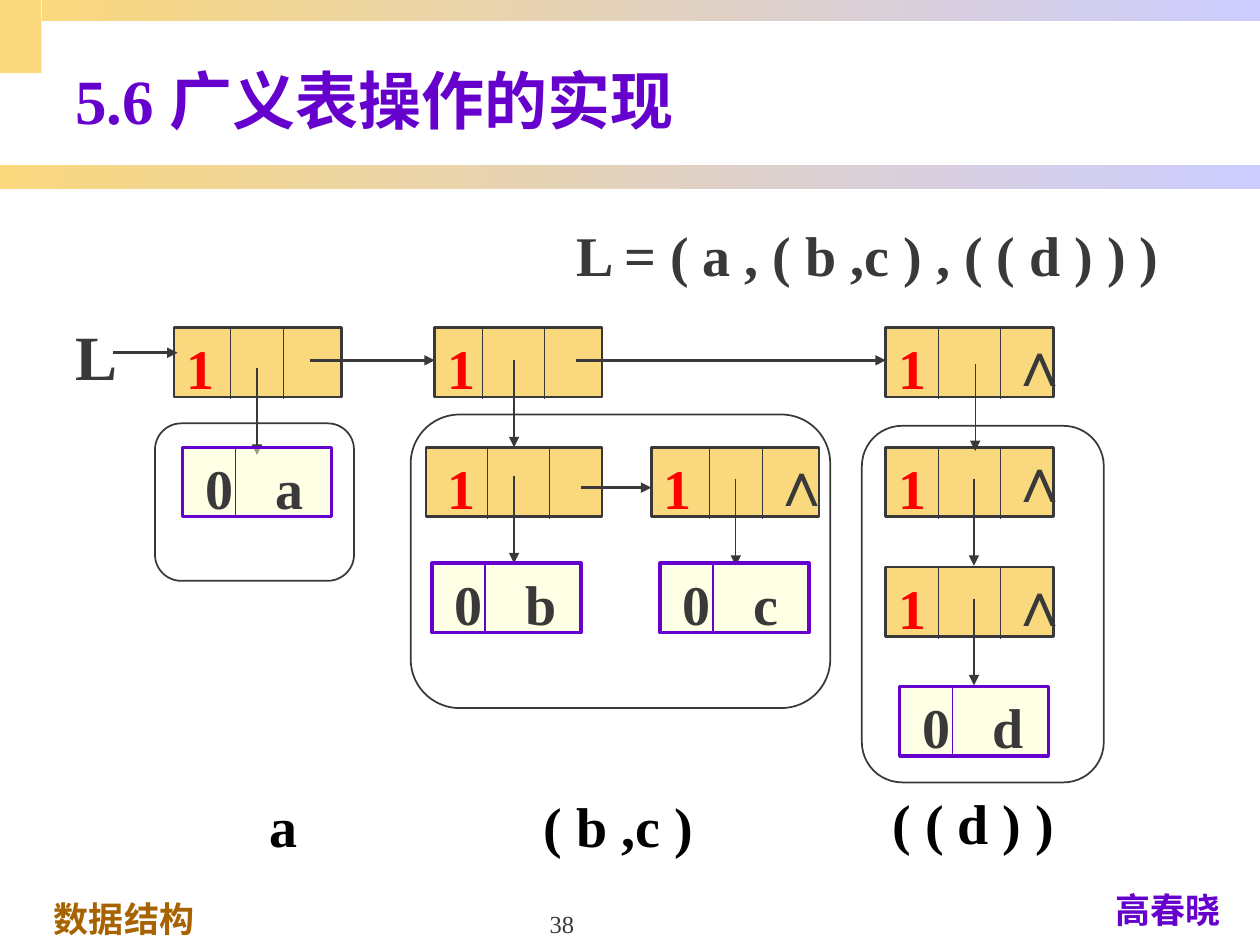
from dataclasses import dataclass
from lxml import etree
from pptx import Presentation, util as u
from pptx.dml.color import RGBColor
from pptx.enum import shapes, text
from pptx.oxml import ns

"""Draws the linked storage of a generalized list on a grid of 100 columns by 75 rows."""

HUES = {"gold": "F9D87E", "lilac": "CCCCFF", "brown": "A66300", "violet": "6600CC",
        "ink": "393939", "black": "000000", "red": "FF0000", "cream": "FFFFCC"}
FONT = "Times New Roman"
KIND = shapes.MSO_SHAPE
SIDE = {"l": text.PP_ALIGN.LEFT, "c": text.PP_ALIGN.CENTER, "r": text.PP_ALIGN.RIGHT}
ANCHOR = {"t": text.MSO_ANCHOR.TOP, "m": text.MSO_ANCHOR.MIDDLE, "b": text.MSO_ANCHOR.BOTTOM}

deck = Presentation()
deck.slide_width, deck.slide_height = u.Inches(10), u.Inches(7.5)
CELL = deck.slide_width / 100
page = deck.slides.add_slide(deck.slide_layouts[6])


@dataclass
class Box:
    x: float
    y: float
    w: float
    h: float

    def emu(self) -> list[int]:
        return [grid(n) for n in (self.x, self.y, self.w, self.h)]


@dataclass
class Label:
    box: Box
    words: str
    size: int = 32
    hue: str = "black"
    side: str = "r"
    anchor: str = "t"
    bold: bool = True
    wrap: bool = True
    pad: float = 0.5
    gap: float = 4


@dataclass
class Node:
    x: float
    y: float
    first: float
    second: float
    w: float = 13.3


@dataclass
class Leaf:
    x: float
    y: float
    name: str


@dataclass
class Arrow:
    x: float
    y: float
    dx: float = 0
    dy: float = 0


def grid(n: float) -> int:
    return round(n * CELL)


def rgb(hue: str) -> RGBColor:
    return RGBColor.from_string(HUES[hue])


def shape(kind: KIND, box: Box, fill: str = "", edge: str = "", width: float = 1):
    item = page.shapes.add_shape(kind, *box.emu())
    item.shadow.inherit = False
    if fill:
        item.fill.solid()
        item.fill.fore_color.rgb = rgb(fill)
    else:
        item.fill.background()
    if edge:
        item.line.color.rgb = rgb(edge)
        item.line.width = u.Pt(width)
    else:
        item.line.fill.background()
    return item


def band(box: Box) -> None:
    fill = shape(KIND.RECTANGLE, box).fill
    fill.gradient()
    fill.gradient_angle = 0
    for stop, hue, place in zip(fill.gradient_stops, ("gold", "lilac"), (0, 1)):
        stop.color.rgb = rgb(hue)
        stop.position = place


def write(frame, words: str, size: int, hue: str, side: str, bold: bool, gap: float):
    frame.text = words
    para = frame.paragraphs[0]
    para.alignment = SIDE[side]
    para.space_before = u.Pt(gap)
    for run in para.runs:
        run.font.name, run.font.size, run.font.bold = FONT, u.Pt(size), bold
        run.font.color.rgb = rgb(hue)
    return para


def label(tag: Label) -> None:
    frame = page.shapes.add_textbox(*tag.box.emu()).text_frame
    frame.word_wrap = tag.wrap
    frame.vertical_anchor = ANCHOR[tag.anchor]
    frame.margin_top = frame.margin_bottom = grid(tag.pad)
    write(frame, tag.words, tag.size, tag.hue, tag.side, tag.bold, tag.gap)


def line(x: float, y: float, dx: float, dy: float, hue: str, width: float, head: bool) -> None:
    ends = [grid(n) for n in (x, y, x + dx, y + dy)]
    item = page.shapes.add_connector(shapes.MSO_CONNECTOR.STRAIGHT, *ends)
    item.line.color.rgb = rgb(hue)
    item.line.width = u.Pt(width)
    if head:
        etree.SubElement(item.line._get_or_add_ln(), ns.qn("a:tailEnd"), type="triangle")
    etree.SubElement(item._element.spPr, ns.qn("a:effectLst"))


def inset(item, left: float):
    frame = item.text_frame
    frame.word_wrap = True
    frame.vertical_anchor = ANCHOR["t"]
    frame.margin_left, frame.margin_right = grid(left), 0
    return frame


def node(n: Node) -> None:
    item = shape(KIND.RECTANGLE, Box(n.x, n.y, n.w, 5.5), "gold", "ink", 1.5)
    write(inset(item, n.w - 12.3), "1", 32, "red", "l", True, 4)
    for dx in (n.first, n.second):
        line(n.x + dx, n.y, 0, 5.7, "ink", 0.75, False)


def leaf(n: Leaf) -> None:
    item = shape(KIND.RECTANGLE, Box(n.x, n.y, 11.8, 5.5), "cream", "violet", 2)
    tint = item.fill._xPr.find(".//" + ns.qn("a:srgbClr"))
    etree.SubElement(tint, ns.qn("a:alpha"), val="50000")
    para = write(inset(item, 1.8), "0\t" + n.name, 32, "ink", "l", True, 4)
    tabs = etree.SubElement(para._p.get_or_add_pPr(), ns.qn("a:tabLst"))
    etree.SubElement(tabs, ns.qn("a:tab"), pos=str(grid(5.6)), algn="l")
    line(n.x + 4.2, n.y, 0, 5.5, "violet", 0.75, False)


def arrow(a: Arrow) -> None:
    line(a.x, a.y, a.dx, a.dy, "ink", 1.75 if a.dx else 0.75, True)


LABELS = [
    Label(Box(3.3, 70.7, 35, 4.3), "数据结构", 20, "brown", "l"),
    Label(Box(86.2, 70, 13, 4.3), "高春晓", 20, "violet", "c"),
    Label(Box(34.2, 70, 20.8, 5), "38", 14, "ink", "c", "b", bold=False, gap=0),
    Label(Box(5, 2.5, 95, 10.7), "5.6 广义表操作的实现", 36, "violet", "l", "m", gap=0),
    Label(Box(68.7, 62.1, 17.1, 6.3), "( ( d ) )", side="c"),
    Label(Box(4.2, 17, 89.9, 6.3), "L = ( a , ( b ,c ) , ( ( d ) ) ) ", hue="ink"),
    Label(Box(42.1, 61.6, 13.9, 7.7), "( b ,c )", wrap=False, pad=1.2),
    Label(Box(18.7, 61.6, 5.9, 7.7), "a", pad=1.2),
    Label(Box(5, 24.7, 5.3, 7), "L", 36, "ink", wrap=False),
]
FRAMES = [Box(32.6, 32.9, 33.3, 23.3), Box(12.3, 33.6, 15.8, 12.5), Box(68.4, 33.8, 19.2, 28.3)]
NODES = [Node(13.8, 26, 4.5, 8.7), Node(34.5, 26, 3.8, 8.7),
         Node(33.8, 35.5, 4.9, 9.8, 14), Node(51.7, 35.5, 4.6, 8.8)]
NODES += [Node(70.3, 26 + 9.5 * row, 4.2, 9.1) for row in range(3)]
ARROWS = [Arrow(9, 28, 5.1), Arrow(24.6, 28.6, 9.9), Arrow(45.7, 28.6, 24.6), Arrow(46.1, 38.7, 5.6)]
ARROWS += [Arrow(x, y, 0, 6.9) for x, y in (
    (20.4, 29.2), (40.8, 28.6), (40.8, 37.8), (58.4, 38), (77.4, 28.9), (77.3, 38), (77.3, 47.5))]
LEAVES = [Leaf(14.5, 35.5, "a"), Leaf(34.3, 44.7, "b"), Leaf(52.4, 44.7, "c"), Leaf(71.4, 54.5, "d")]
NILS = [(79.1, 25.2), (79.1, 34.4), (79.1, 44.2), (60.2, 34.7)]

shape(KIND.RECTANGLE, Box(0, 0, 3.3, 5.8), "gold")
for strip in (Box(0, 13.1, 100, 1.9), Box(3.3, 0, 96.7, 1.7)):
    band(strip)
for ring in FRAMES:
    shape(KIND.FLOWCHART_ALTERNATE_PROCESS, ring, edge="ink")
for draw, items in ((label, LABELS), (node, NODES), (arrow, ARROWS), (leaf, LEAVES)):
    for entry in items:
        draw(entry)
for x, y in NILS:
    label(Label(Box(x, y, 5, 7), "∧", 36, "ink", bold=False, wrap=False))

deck.save("out.pptx")
